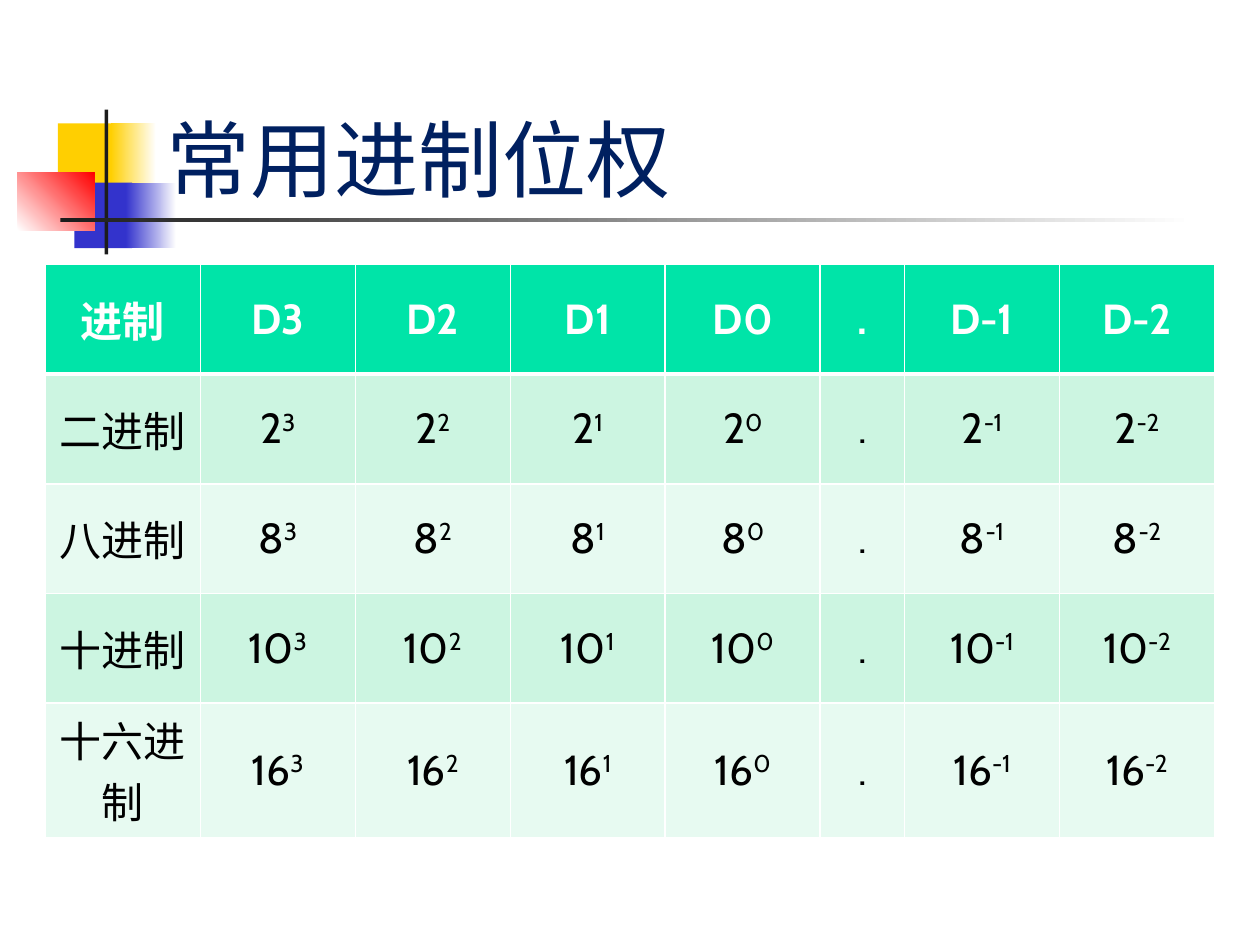
from collections import namedtuple

from lxml import etree
from pptx import Presentation
from pptx import util as u
from pptx.dml.color import RGBColor
from pptx.enum import shapes, text
from pptx.oxml.ns import qn

COLORS = {
    "yellow": "FFCF01", "blue": "3333CC", "red": "FF0000", "ink": "1C1C1C",
    "white": "FFFFFF", "black": "000000", "title": "002060",
    "head": "00E4A8", "odd": "CCF5E1", "even": "E7FAF1",
}
LATIN, CHINESE = "Cabin", "Noto Sans CJK JP"
CELL = u.Inches(0.1)  # the slide is a grid of 100 columns by 75 rows

Box = namedtuple("Box", "left top width height")

HEADINGS = ["进制", "D3", "D2", "D1", "D0", ".", "D-1", "D-2"]
BASES = [("二进制", 2), ("八进制", 8), ("十进制", 10), ("十六进制", 16)]
POINT_COLUMN = HEADINGS.index(".")


def rgb(name):
    return RGBColor.from_string(COLORS[name])


def grid(*counts):
    return [round(count * CELL) for count in counts]


def add_block(page, box, start, end=None, angle=0):
    """Add a borderless rectangle, plain or fading from start to end."""
    block = page.shapes.add_shape(shapes.MSO_SHAPE.RECTANGLE, *grid(*box))
    block.shadow.inherit = False
    block.line.fill.background()
    if end is None:
        block.fill.solid()
        block.fill.fore_color.rgb = rgb(start)
    else:
        block.fill.gradient()
        block.fill.gradient_angle = angle
        for stop, color in zip(block.fill.gradient_stops, (start, end)):
            stop.color.rgb = rgb(color)


def add_emblem(page, box):
    """Coloured squares crossed by a bar and a fading rule."""
    blocks = [
        (3.2, 1.1, 4.8, 5.2, "yellow"),
        (7.4, 1.1, 3.6, 5.2, "yellow", "white"),
        (4.5, 5.8, 4.6, 5.2, "blue"),
        (8.6, 5.8, 4, 5.2, "blue", "white"),
        (0, 5, 6.1, 4.6, "white", "red", 45),
        (6.9, 0, 0.3, box.height, "ink"),
        (3.4, 8.6, 90, 0.3, "ink", "white"),
    ]
    for left, top, width, height, *paint in blocks:
        add_block(page, Box(box.left + left, box.top + top, width, height), *paint)


def add_title(page, box, words):
    title = page.shapes.title
    title.left, title.top, title.width, title.height = grid(*box)
    frame = title.text_frame
    frame.text = words
    frame.auto_size = text.MSO_AUTO_SIZE.NONE
    frame.vertical_anchor = text.MSO_ANCHOR.BOTTOM
    para = frame.paragraphs[0]
    para.alignment = text.PP_ALIGN.LEFT
    para.font.size = u.Pt(48)
    para.font.name = CHINESE
    para.font.color.rgb = rgb("title")
    # Bring the title in front of the emblem
    page.shapes._spTree.append(title._element)


def set_borders(cell, top, bottom):
    """White cell borders; they come before the fill in the cell's XML."""
    properties = cell._tc.get_or_add_tcPr()
    sides = [("a:lnL", 1), ("a:lnR", 1), ("a:lnT", top), ("a:lnB", bottom)]
    for place, (tag, width) in enumerate(sides):
        line = etree.Element(qn(tag), w=str(u.Pt(width)))
        fill = etree.SubElement(line, qn("a:solidFill"))
        etree.SubElement(fill, qn("a:srgbClr"), val=COLORS["white"])
        properties.insert(place, line)


def fill_cell(cell, words, power, row):
    cell.vertical_anchor = text.MSO_ANCHOR.MIDDLE
    cell.fill.solid()
    cell.fill.fore_color.rgb = rgb("head" if row == 0 else "odd" if row % 2 else "even")
    set_borders(cell, top=3 if row == 1 else 1, bottom=3 if row == 0 else 1)

    para = cell.text_frame.paragraphs[0]
    para.alignment = text.PP_ALIGN.CENTER
    para.font.size = u.Pt(24)
    para.font.name = LATIN
    para.font.bold = row == 0
    para.font.color.rgb = rgb("white" if row == 0 else "black")
    para.add_run().text = words
    if power:
        span = para.add_run()
        span.text = power
        span.font._element.set("baseline", "30000")


def add_weights(page, box):
    """Table of place weights: one row per base, one column per digit."""
    rows = [[(heading, "") for heading in HEADINGS]]
    for name, base in BASES:
        weights = [(".", "") if heading == "." else (str(base), heading[1:])
                   for heading in HEADINGS[1:]]
        rows.append([(name, "")] + weights)

    table = page.shapes.add_table(len(rows), len(HEADINGS), *grid(*box)).table
    point_width = 6.7
    digit_width = (box.width - point_width) / (len(HEADINGS) - 1)
    for index, column in enumerate(table.columns):
        column.width, = grid(point_width if index == POINT_COLUMN else digit_width)
    for row, entries in enumerate(rows):
        for column, (words, power) in enumerate(entries):
            fill_cell(table.cell(row, column), words, power, row)


def main():
    deck = Presentation()
    deck.slide_width, deck.slide_height = grid(100, 75)
    page = deck.slides.add_slide(deck.slide_layouts.get_by_name("Title Only"))
    add_emblem(page, Box(1.4, 8.7, 12.6, 11.5))
    add_title(page, Box(12.2, 6.8, 85.6, 10.2), "常用进制位权")
    add_weights(page, Box(3.6, 21, 92.8, 43.5))
    deck.save("out.pptx")


if __name__ == "__main__":
    main()
